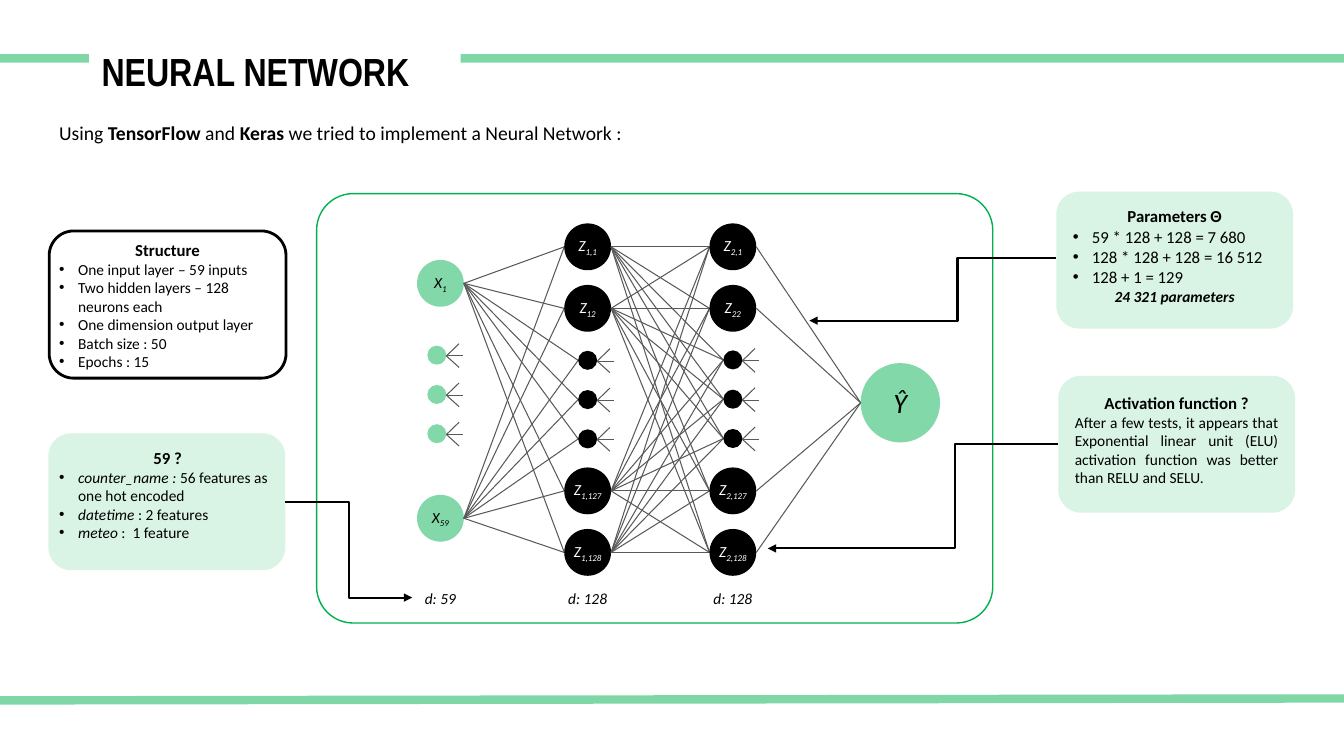
from dataclasses import dataclass

import lxml.etree
import pptx
import pptx.dml.color
import pptx.enum.shapes
import pptx.enum.text
import pptx.oxml.ns
import pptx.util

Cm = pptx.util.Cm
Pt = pptx.util.Pt
qn = pptx.oxml.ns.qn
SHAPES = pptx.enum.shapes.MSO_SHAPE
CONNECTORS = pptx.enum.shapes.MSO_CONNECTOR
ALIGN = pptx.enum.text.PP_ALIGN
ANCHOR = pptx.enum.text.MSO_ANCHOR


@dataclass(frozen=True)
class Theme:
    black: tuple = ("000000", 100)
    white: tuple = ("FFFFFF", 100)
    gray: tuple = ("595959", 100)
    green: tuple = ("00B050", 100)
    mint: tuple = ("00B050", 49)
    pale: tuple = ("00B050", 15)
    title_font: str = "Arial Narrow"
    body_font: str = "Calibri"
    title: float = 28
    output: float = 20
    intro: float = 14
    heading: float = 12
    body: float = 11


theme = Theme()

TITLE = [("title", [("NEURAL NETWORK", "b")])]
INTRO = [("intro", [("Using ", ""), ("TensorFlow", "b"), (" and ", ""), ("Keras", "b"),
                    (" we tried to implement a Neural Network :", "")])]
STRUCTURE = [
    ("heading", [("Structure", "b")]),
    ("bullet", [("One input layer – 59 inputs", "")]),
    ("bullet", [("Two hidden layers – 128 neurons each", "")]),
    ("bullet", [("One dimension output layer", "")]),
    ("bullet", [("Batch size : 50", "")]),
    ("bullet", [("Epochs : 15", "")]),
]
FEATURES = [
    ("heading", [("59 ?", "b")]),
    ("bullet", [("counter_name : ", "i"), ("56 features as one hot encoded", "")]),
    ("bullet", [("datetime", "i"), (" : 2 features", "")]),
    ("bullet", [("meteo", "i"), (" :  1 feature", "")]),
]
PARAMETERS = [
    ("heading", [("Parameters Θ", "b")]),
    ("large bullet", [("59 * 128 + 128 = 7 680", "")]),
    ("large bullet", [("128 * 128 + 128 = 16 512", "")]),
    ("large bullet", [("128 + 1 = 129", "")]),
    ("center", [("24 321 parameters", "bi")]),
]
ACTIVATION = [
    ("heading", [("Activation function ?", "b")]),
    ("justify", [("After a few tests, it appears that Exponential linear unit (ELU) "
                  "activation function was better than RELU and SELU.", "")]),
]
PARAGRAPH_KINDS = {
    "title": (theme.title, ALIGN.LEFT),
    "intro": (theme.intro, ALIGN.LEFT),
    "heading": (theme.heading, ALIGN.CENTER),
    "bullet": (theme.body, ALIGN.LEFT),
    "large bullet": (theme.heading, ALIGN.LEFT),
    "center": (theme.body, ALIGN.CENTER),
    "justify": (theme.body, ALIGN.JUSTIFY),
    "output": (theme.output, ALIGN.CENTER),
}

HIDDEN_ROWS = [6.22, 7.77, 12.37, 13.92]
LAYERS = [
    dict(x=11.1, dot_x=11.01, rows=[7.14, 13.06], dots_top=8.95, fill=theme.mint,
         ink=theme.black, letter="X", indexes=["1", "59"], size="d: 59"),
    dict(x=14.81, dot_x=14.81, rows=HIDDEN_ROWS, dots_top=9.08, fill=theme.black,
         ink=theme.white, letter="Z", indexes=["1,1", "12", "1,127", "1,128"], size="d: 128"),
    dict(x=18.47, dot_x=18.47, rows=HIDDEN_ROWS, dots_top=9.07, fill=theme.black,
         ink=theme.white, letter="Z", indexes=["2,1", "22", "2,127", "2,128"], size="d: 128"),
]
NODE, DOT, DOT_PITCH = 1.18, 0.48, 0.99
OUTPUT_X, OUTPUT_Y, OUTPUT_SIZE = 22.69, 10.15, 2
WHISKERS = [(0.32, -0.31), (0.42, 0), (0.32, 0.29)]
BARS = [(0, 1.47, 2.24, 1.47), (11.61, 1.47, 33.87, 1.47), (0, 17.65, 33.87, 17.6)]
ARROWS = [
    ((7.19, 12.65, 10.39, 15.06), 50000),
    ((26.67, 11.2, 19.35, 13.82), 35400),
    ((26.62, 6.5, 20.4, 8.08), 40000),
]

deck = pptx.Presentation()
deck.slide_width, deck.slide_height = Cm(33.87), Cm(19.05)
page = deck.slides.add_slide(deck.slide_layouts[6])


def paint(fill, color):
    fill.solid()
    fill.fore_color.rgb = pptx.dml.color.RGBColor.from_string(color[0])


def fade(item, color):
    if color[1] < 100:
        for tone in item._element.spPr.iter(qn("a:srgbClr")):
            lxml.etree.SubElement(tone, qn("a:alpha"), val=str(color[1] * 1000))


def add_panel(kind, area, fill=None, line=None, width=1):
    panel = page.shapes.add_shape(kind, *map(Cm, area))
    panel.shadow.inherit = False
    if fill:
        paint(panel.fill, fill)
        fade(panel, fill)
    else:
        panel.fill.background()
    if line:
        paint(panel.line.fill, line)
        panel.line.width = Pt(width)
    else:
        panel.line.fill.background()
    return panel


def add_line(ends, color, width, kind=CONNECTORS.STRAIGHT):
    line = page.shapes.add_connector(kind, *map(Cm, ends))
    paint(line.line.fill, color)
    line.line.width = Pt(width)
    fade(line, color)
    lxml.etree.SubElement(line._element.spPr, qn("a:effectLst"))
    return line


def add_run(para, text, size, style="", ink=theme.black, font=theme.body_font):
    span = para.add_run()
    span.text = text
    span.font.name, span.font.size = font, Pt(size)
    span.font.bold, span.font.italic = "b" in style, "i" in style
    paint(span.font.fill, ink)
    return span


def write(frame, content):
    frame.word_wrap = True
    for number, (kind, runs) in enumerate(content):
        para = frame.add_paragraph() if number else frame.paragraphs[0]
        size, para.alignment = PARAGRAPH_KINDS[kind]
        if kind == "heading":
            para.line_spacing = 1.5
        if kind.endswith("bullet"):
            props = para._p.get_or_add_pPr()
            props.set("marL", str(Cm(0.48)))
            props.set("indent", str(-Cm(0.48)))
            lxml.etree.SubElement(props, qn("a:buFont"), typeface="Arial")
            lxml.etree.SubElement(props, qn("a:buChar"), char="•")
        font = theme.title_font if kind == "title" else theme.body_font
        for text, style in runs:
            add_run(para, text, size, style, font=font)


def add_text(area, content):
    write(page.shapes.add_textbox(*map(Cm, area)).text_frame, content)


def add_circle(x, y, size, fill):
    circle = add_panel(SHAPES.OVAL, (x - size / 2, y - size / 2, size, size), fill)
    frame = circle.text_frame
    frame.margin_left = frame.margin_right = frame.margin_top = frame.margin_bottom = 0
    frame.word_wrap = False
    frame.vertical_anchor = ANCHOR.MIDDLE
    frame.paragraphs[0].alignment = ALIGN.CENTER
    return frame.paragraphs[0]


network = add_panel(SHAPES.ROUNDED_RECTANGLE, (7.98, 4.88, 17.04, 10.82), line=theme.green)
network.adjustments[0] = 0.085
for bar in BARS:
    add_line(bar, theme.mint, 6)
add_text((2.31, 1.07, 17.04, 1.45), TITLE)
add_text((1.24, 2.92, 17.4, 0.86), INTRO)

sources = []
for layer in LAYERS:
    dots = [layer["dots_top"] + DOT_PITCH * step for step in range(3)]
    targets = [(layer["x"] - NODE / 2, y) for y in layer["rows"]]
    targets += [(layer["dot_x"] - DOT / 2, y) for y in dots]
    for start in sources:
        for end in targets:
            add_line((*start, *end), theme.gray, 0.75)
    for y, index in zip(layer["rows"], layer["indexes"]):
        para = add_circle(layer["x"], y, NODE, layer["fill"])
        add_run(para, layer["letter"], theme.body, "i", layer["ink"])
        subscript = add_run(para, index, theme.body, "i", layer["ink"])
        subscript.font._element.set("baseline", "-25000")
    for y in dots:
        add_circle(layer["dot_x"], y, DOT, layer["fill"])
        tip_x, tip_y = layer["dot_x"] + DOT / 2, y + 0.02
        for dx, dy in WHISKERS:
            add_line((tip_x, tip_y, tip_x + dx, tip_y + dy), theme.gray, 0.75)
    add_text((layer["x"] - 0.86, 14.71, 1.72, 0.74), [("center", [(layer["size"], "i")])])
    sources = [(layer["x"] + NODE / 2, y) for y in layer["rows"]]

for start in sources:
    add_line((*start, OUTPUT_X - OUTPUT_SIZE / 2, OUTPUT_Y), theme.gray, 0.75)
add_run(add_circle(OUTPUT_X, OUTPUT_Y, OUTPUT_SIZE, theme.mint), "Ŷ", theme.output, "i")

for ends, bend in ARROWS:
    arrow = add_line(ends, theme.black, 1.5, CONNECTORS.ELBOW)
    guides = arrow._element.spPr.find(qn("a:prstGeom")).find(qn("a:avLst"))
    lxml.etree.SubElement(guides, qn("a:gd"), name="adj1", fmla=f"val {bend}")
    lxml.etree.SubElement(arrow.line._get_or_add_ln(), qn("a:tailEnd"), type="triangle")

for area, content in [((26.67, 9.47, 5.97, 3.45), ACTIVATION), ((26.62, 4.83, 5.97, 3.45), PARAMETERS)]:
    card = add_panel(SHAPES.ROUNDED_RECTANGLE, area, theme.pale)
    card.text_frame.vertical_anchor = ANCHOR.MIDDLE
    card.text_frame.margin_bottom = Cm(0.6)
    write(card.text_frame, content)

add_panel(SHAPES.ROUNDED_RECTANGLE, (1.22, 10.92, 5.97, 3.45), theme.pale)
add_panel(SHAPES.ROUNDED_RECTANGLE, (1.24, 5.82, 5.97, 3.71), line=theme.black, width=2)
add_text((1.24, 5.66, 5.97, 3.84), STRUCTURE)
add_text((1.24, 10.9, 5.97, 2.9), FEATURES)

deck.save("out.pptx")
